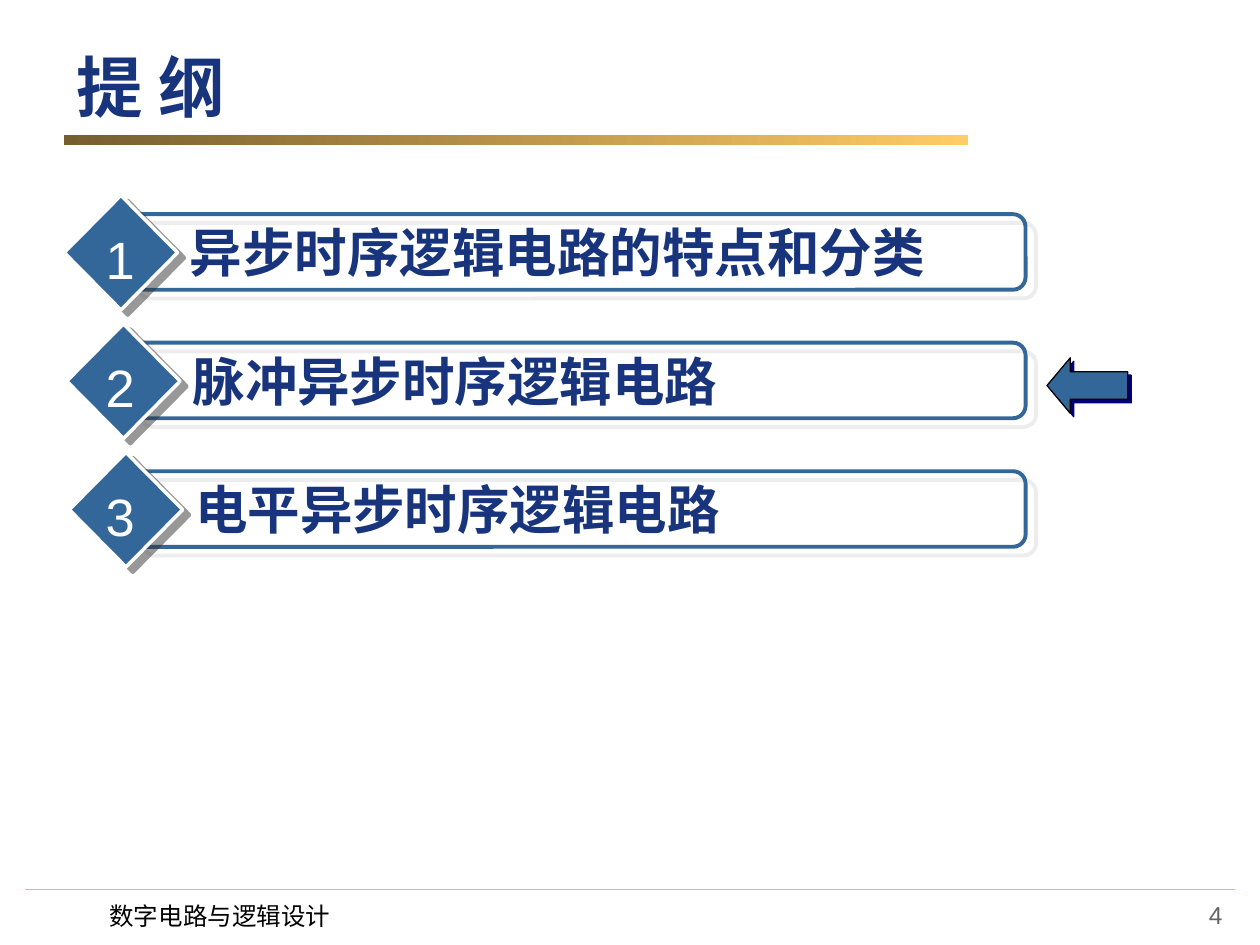
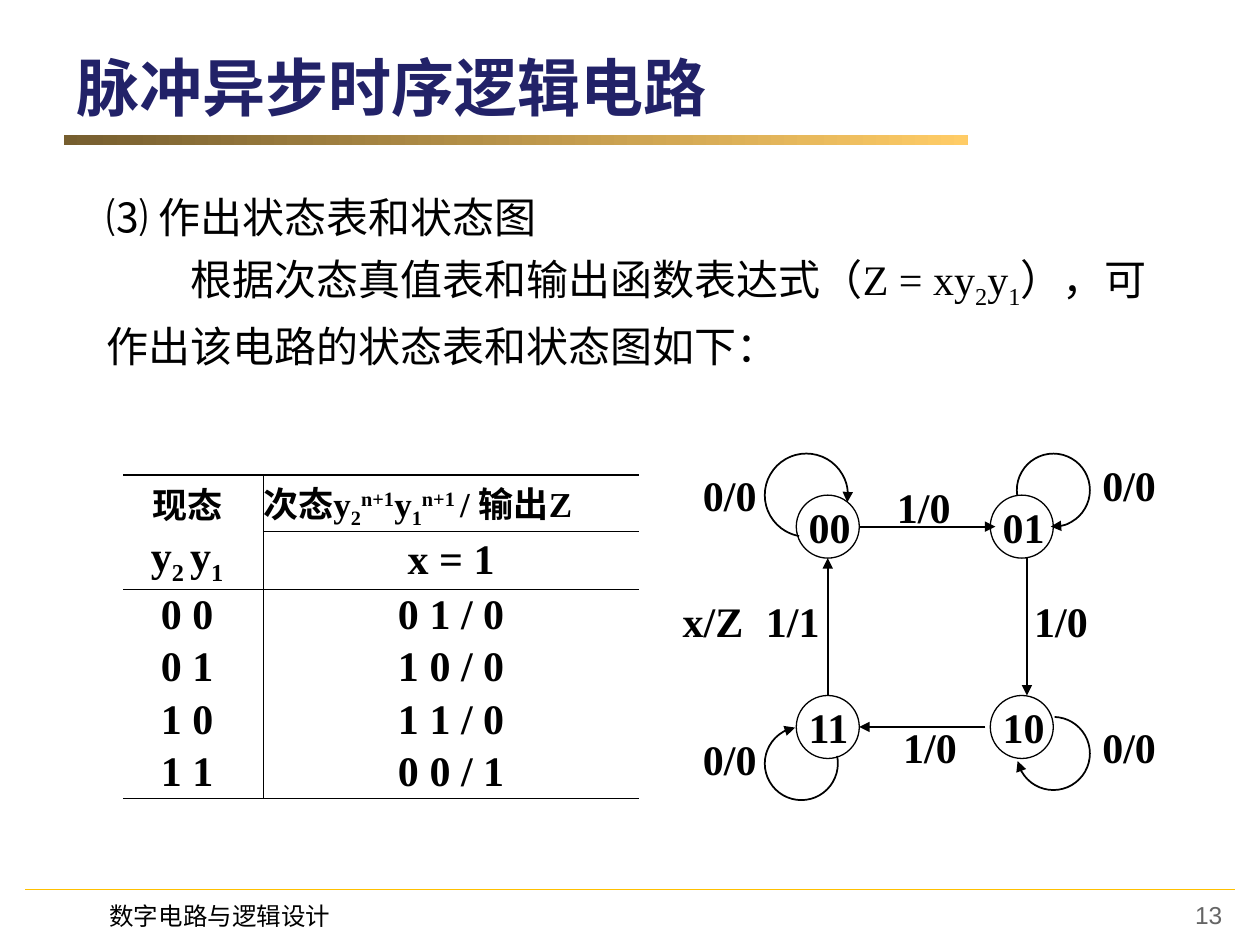
from dataclasses import dataclass

from lxml import etree
from pptx import Presentation
from pptx import util as u
from pptx.dml.color import RGBColor
from pptx.enum import shapes, text
from pptx.oxml import ns

# Shared colours and fonts
NAVY = RGBColor(0x17, 0x34, 0x7D)
INDIGO = RGBColor(0x22, 0x22, 0x68)
STEEL = RGBColor(0x33, 0x66, 0x99)
BROWN = RGBColor(0x76, 0x5E, 0x2F)
SAND = RGBColor(0xFF, 0xCC, 0x66)
GOLD = RGBColor(0xFF, 0xC0, 0x00)
GREY = RGBColor(0x65, 0x65, 0x65)
BLACK = RGBColor(0, 0, 0)
WHITE = RGBColor(0xFF, 0xFF, 0xFF)
HAN, SANS, SERIF = "Noto Sans CJK SC", "Arial", "Times New Roman"

KIND = shapes.MSO_SHAPE
ALIGN = text.PP_ALIGN
MID = text.MSO_ANCHOR.MIDDLE
SUB, SUP = -25, 30


@dataclass(frozen=True)
class Style:
    size: float
    font: str
    color: RGBColor = BLACK
    bold: bool = False


@dataclass(frozen=True)
class Run:
    words: str
    base: int = 0


@dataclass(frozen=True)
class Shade:
    color: str
    alpha: int
    dist: float
    angle: int


@dataclass(frozen=True)
class Label:
    words: str
    left: float
    top: float


@dataclass(frozen=True)
class Arrow:
    x1: float
    y1: float
    x2: float
    y2: float


@dataclass(frozen=True)
class Loop:
    """Clockwise arc: centre, radius, start and end in degrees."""
    x: float
    y: float
    rad: float
    start: int
    end: int


BODY = Style(24, SERIF)
CELL = Style(24, SERIF, bold=True)
HEAD = Style(20, SERIF, bold=True)
ITEM = Style(30, HAN, NAVY, True)
DIGIT = Style(30, SANS, WHITE)


# XML helpers
def child(node, tag: str, **attrs):
    return etree.SubElement(node, ns.qn(tag), {k: str(v) for k, v in attrs.items()})


def shade(shape, look: Shade) -> None:
    effect = child(shape._element.spPr, "a:effectLst")
    outer = child(effect, "a:outerShdw", blurRad=0, dist=u.Pt(look.dist),
                  dir=look.angle * 60000, algn="ctr", rotWithShape=0)
    color = child(outer, "a:srgbClr", val=look.color)
    child(color, "a:alpha", val=look.alpha * 1000)


def tip(shape) -> None:
    child(shape.line._get_or_add_ln(), "a:tailEnd", type="triangle")


# Text
def write(par, runs: list[Run], style: Style) -> None:
    for item in runs:
        run = par.add_run()
        run.text = item.words
        font = run.font
        font.size, font.name, font.bold = u.Pt(style.size), style.font, style.bold
        font.color.rgb = style.color
        props = font._element
        child(props, "a:ea", typeface=HAN)
        if item.base:
            props.set("baseline", str(item.base * 1000))


def place(slide, left: float, top: float, wide: float, high: float,
          words: str, style: Style, wrap: bool = True):
    box = slide.shapes.add_textbox(*map(u.Inches, (left, top, wide, high)))
    box.text_frame.word_wrap = wrap
    if words:
        write(box.text_frame.paragraphs[0], [Run(words)], style)
    return box.text_frame


# Shapes and lines
def draw(slide, kind, left: float, top: float, wide: float, high: float,
         fill: RGBColor | None = None, line: RGBColor | None = None,
         width: float = 0.75, look: Shade | None = None):
    shape = slide.shapes.add_shape(kind, *map(u.Inches, (left, top, wide, high)))
    if fill is None:
        shape.fill.background()
    else:
        shape.fill.solid()
        shape.fill.fore_color.rgb = fill
    if line is None:
        shape.line.fill.background()
    else:
        shape.line.color.rgb = line
        shape.line.width = u.Pt(width)
    if look:
        shade(shape, look)
    else:
        shape.shadow.inherit = False
    return shape


def link(slide, way: Arrow, color: RGBColor, width: float):
    line = slide.shapes.add_connector(
        shapes.MSO_CONNECTOR.STRAIGHT,
        *map(u.Inches, (way.x1, way.y1, way.x2, way.y2)))
    line.line.color.rgb = color
    line.line.width = u.Pt(width)
    child(line._element.spPr, "a:effectLst")
    return line


# Frame shared by all slides
def frame(deck, title: str, style: Style, page: int):
    slide = deck.slides.add_slide(deck.slide_layouts[6])
    link(slide, Arrow(0.2, 7.06, 9.8, 7.06), GOLD, 0.75)
    band = draw(slide, KIND.RECTANGLE, 0.51, 1.07, 7.17, 0.08)
    band.fill.gradient()
    band.fill.gradient_angle = 0
    for stop, color in zip(band.fill.gradient_stops, (BROWN, SAND)):
        stop.color.rgb = color
    place(slide, 0.51, 0.3, 8.98, 0.77, title, style).vertical_anchor = MID
    number = place(slide, 7.47, 7.09, 2.33, 0.38, str(page), Style(14, SANS, GREY))
    number.paragraphs[0].alignment = ALIGN.RIGHT
    place(slide, 0.77, 7.1, 2.09, 0.34, "数字电路与逻辑设计", Style(14, HAN))
    return slide


# Slide: outline
TOPICS = ("异步时序逻辑电路的特点和分类", "脉冲异步时序逻辑电路", "电平异步时序逻辑电路")
SOFT = Shade("DDDDDD", 50, 7.8, 40)
DARK = Shade("333333", 50, 5, 37)
BLUE = Shade("00007D", 100, 2.8, 45)


def outline(deck) -> None:
    slide = frame(deck, "提 纲", Style(38, HAN, NAVY, True), 4)
    arrow = draw(slide, KIND.LEFT_ARROW, 8.31, 2.84, 0.64, 0.44, STEEL, BLACK, look=BLUE)
    arrow.adjustments[1] = 0.42
    for i, topic in enumerate(TOPICS):
        left, top = 0.51 + 0.02 * i, 1.55 + 1.02 * i
        draw(slide, KIND.ROUNDED_RECTANGLE, left + 0.5, top + 0.15,
             7.64 - left, 0.6, None, STEEL, 2.25, SOFT)
        place(slide, left + 0.9, top + 0.15, 7, 0.6, topic, ITEM)
        draw(slide, KIND.DIAMOND, left, top, 0.9, 0.91, STEEL, WHITE, 2, DARK)
        place(slide, 0.74, top + 0.2, 0.47, 0.61, str(i + 1), DIGIT, False)


# Slide: state table and state graph
STATES = (("0 0", "0 1 / 0"), ("0 1", "1 0 / 0"), ("1 0", "1 1 / 0"), ("1 1", "0 0 / 1"))
NOW = [Run("y"), Run("2 ", SUB), Run("y"), Run("1", SUB)]
NEXT = [Run("次态y"), Run("2", SUB), Run("n+1", SUP), Run("y"), Run("1", SUB),
        Run("n+1 ", SUP), Run("/ 输出Z")]
NODES = (Label("00", 6.32, 3.93), Label("01", 7.86, 3.93),
         Label("10", 7.86, 5.52), Label("11", 6.32, 5.52))
STEPS = (Arrow(6.82, 4.18, 7.9, 4.18), Arrow(8.15, 4.43, 8.15, 5.52),
         Arrow(7.82, 5.77, 6.82, 5.77), Arrow(6.57, 5.52, 6.57, 4.43))
LOOPS = (Loop(6.4, 3.93, 0.33, 100, 10), Loop(8.36, 3.89, 0.29, 172, 94),
         Loop(8.36, 5.98, 0.29, 272, 168), Loop(6.36, 6.06, 0.29, 348, 260))
NOTES = (Label("0/0", 5.48, 3.68), Label("0/0", 8.65, 3.6),
         Label("0/0", 8.65, 5.68), Label("0/0", 5.48, 5.77),
         Label("1/0", 7.02, 3.77), Label("1/0", 8.11, 4.68),
         Label("1/0", 7.07, 5.68), Label("1/1", 5.98, 4.68),
         Label("x/Z", 5.32, 4.68))


def border(cell, sides: str) -> None:
    props = cell._tc.get_or_add_tcPr()
    for side in "LRTB":
        edge = child(props, f"a:ln{side}", w=u.Pt(0.75))
        if side in sides:
            child(child(edge, "a:solidFill"), "a:srgbClr", val=BLACK)
        else:
            child(edge, "a:noFill")


def table(slide) -> None:
    rows = [([Run("现态")], NEXT), (NOW, [Run("x = 1")])]
    rows += [([Run(now)], [Run(then)]) for now, then in STATES]
    grid = slide.shapes.add_table(
        len(rows), 2, *map(u.Inches, (0.98, 3.77, 4.09, 2.5))).table
    grid.first_row = grid.horz_banding = False
    for col, wide in zip(grid.columns, (1.11, 2.98)):
        col.width = u.Inches(wide)
    for i, pair in enumerate(rows):
        grid.rows[i].height = u.Inches((0.45, 0.39)[i] if i < 2 else 0.415)
        for j, runs in enumerate(pair):
            cell = grid.cell(i, j)
            cell.margin_left = cell.margin_top = cell.margin_bottom = 0
            cell.margin_right = u.Inches(0 if j else 0.1)
            cell.vertical_anchor = MID
            over = i in (0, 2) or (i, j) == (1, 1)
            under = i in (1, 5) or (i, j) == (0, 1)
            border(cell, "RL"[j] + "T" * over + "B" * under)
            cell.fill.background()
            par = cell.text_frame.paragraphs[0]
            par.alignment = ALIGN.LEFT if runs is NEXT else ALIGN.CENTER
            write(par, runs, CELL if i else HEAD)


def graph(slide) -> None:
    for node in NODES:
        draw(slide, KIND.OVAL, node.left, node.top, 0.5, 0.5, None, BLACK)
    for step in STEPS:
        tip(link(slide, step, BLACK, 1))
    for loop in LOOPS:
        size = 2 * loop.rad
        arc = draw(slide, KIND.ARC, loop.x - loop.rad, loop.y - loop.rad,
                   size, size, None, BLACK, 1)
        # Arc adjustments count 0.6 to the degree
        arc.adjustments[0] = loop.start * 0.6
        arc.adjustments[1] = loop.end * 0.6
        tip(arc)
    for note in NODES + NOTES:
        place(slide, note.left, note.top, 0.72, 0.49, note.words, CELL, False)


def states(deck) -> None:
    slide = frame(deck, "脉冲异步时序逻辑电路", Style(36, HAN, INDIGO, True), 13)
    body = place(slide, 0.75, 1.39, 8.74, 1.5, "⑶ 作出状态表和状态图", BODY)
    par = body.add_paragraph()
    par._p.get_or_add_pPr().set("indent", str(u.Pt(48)))
    write(par, [Run("根据次态真值表和输出函数表达式（Z = xy"), Run("2", SUB), Run("y"),
                Run("1", SUB), Run("），可作出该电路的状态表和状态图如下：")], BODY)
    for par in body.paragraphs:
        par.line_spacing = 1.2
    table(slide)
    graph(slide)


def main() -> None:
    deck = Presentation()
    deck.slide_width, deck.slide_height = u.Inches(10), u.Inches(7.5)
    outline(deck)
    states(deck)
    deck.save("out.pptx")


if __name__ == "__main__":
    main()
